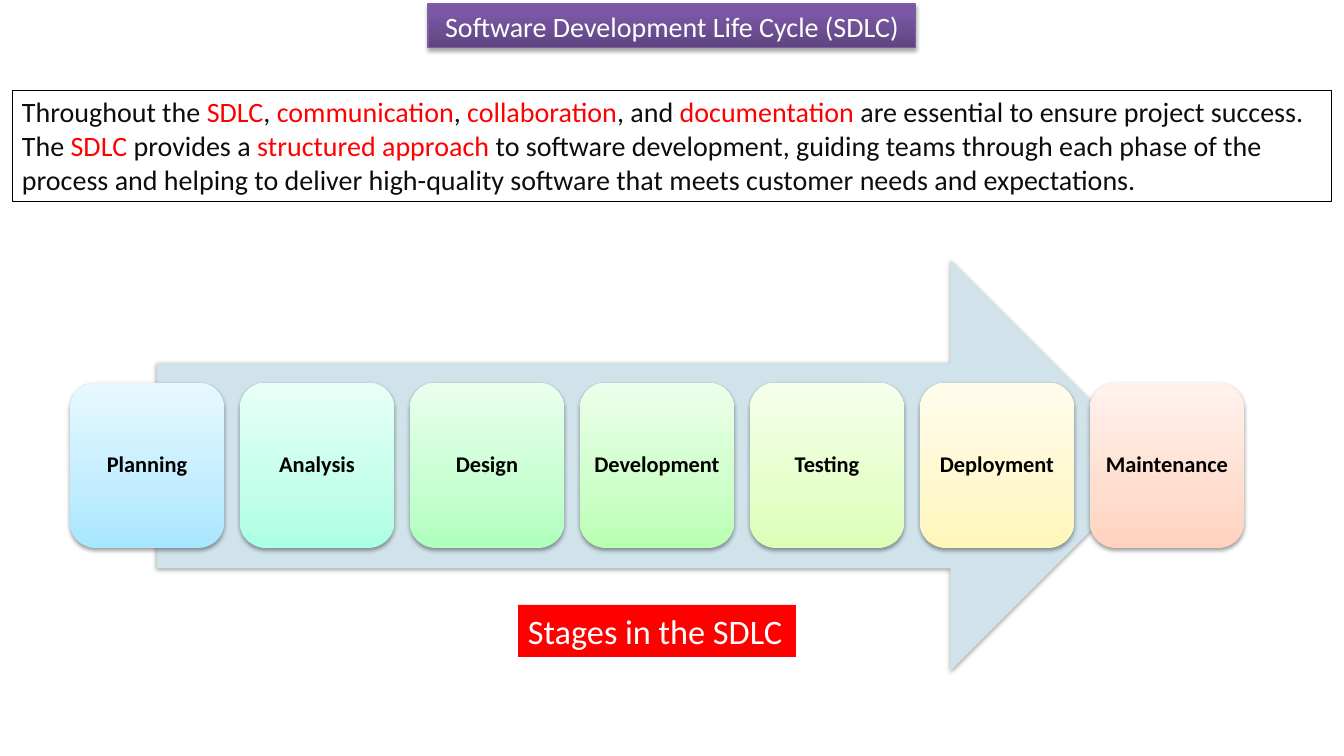
from lxml.etree import SubElement
from pptx import Presentation
from pptx.dml.color import RGBColor
from pptx.enum.shapes import MSO_SHAPE as Shape
from pptx.enum.text import MSO_ANCHOR as Anchor, MSO_AUTO_SIZE as Fit, PP_ALIGN as Align
from pptx.oxml.ns import qn
from pptx.util import Pt

PX = 914400 / 100.8
WHITE = RGBColor(0xFF, 0xFF, 0xFF)
BLACK = RGBColor(0x00, 0x00, 0x00)
INK = RGBColor(0x0D, 0x0D, 0x0D)
RED = RGBColor(0xFF, 0x00, 0x00)
VIOLET = RGBColor(0x7D, 0x60, 0xA0)
MIST = RGBColor(0xD0, 0xE3, 0xEA)
BANNER = [(0, RGBColor(0x5F, 0x44, 0x80)), (80, RGBColor(0x7B, 0x58, 0xA6)),
          (100, RGBColor(0x7C, 0x57, 0xA8))]

# Each stage with its bottom, middle and top colour
STAGES = [
    ("Planning", RGBColor(0xA7, 0xE6, 0xFF), RGBColor(0xC1, 0xED, 0xFF), RGBColor(0xE7, 0xF8, 0xFF)),
    ("Analysis", RGBColor(0xAB, 0xFF, 0xE3), RGBColor(0xC3, 0xFF, 0xEA), RGBColor(0xE8, 0xFF, 0xF7)),
    ("Design", RGBColor(0xAF, 0xFF, 0xBD), RGBColor(0xC6, 0xFF, 0xD0), RGBColor(0xE9, 0xFF, 0xED)),
    ("Development", RGBColor(0xB9, 0xFF, 0xB2), RGBColor(0xCD, 0xFF, 0xC9), RGBColor(0xEC, 0xFF, 0xEA)),
    ("Testing", RGBColor(0xDB, 0xFF, 0xB6), RGBColor(0xE5, 0xFF, 0xCB), RGBColor(0xF5, 0xFF, 0xEB)),
    ("Deployment", RGBColor(0xFF, 0xF6, 0xB9), RGBColor(0xFF, 0xF8, 0xCE), RGBColor(0xFF, 0xFC, 0xEC)),
    ("Maintenance", RGBColor(0xFF, 0xD2, 0xBD), RGBColor(0xFF, 0xDE, 0xD0), RGBColor(0xFF, 0xF2, 0xED)),
]

# Words between bars are stressed
INTRO = ("Throughout the |SDLC|, |communication|, |collaboration|, and |documentation| "
         "are essential to ensure project success. The |SDLC| provides a "
         "|structured approach| to software development, guiding teams through each "
         "phase of the process and helping to deliver high-quality software that "
         "meets customer needs and expectations.")


def px(*vals):
    return [round(val * PX) for val in vals]


def write(shape, text, size=20, color=WHITE, bold=False, align=Align.LEFT,
          anchor=Anchor.TOP, wrap=True, inset=None, space=1.0):
    frame = shape.text_frame
    frame.auto_size = Fit.NONE
    frame.word_wrap = wrap
    frame.vertical_anchor = anchor
    if inset is not None:
        gap, = px(inset)
        frame.margin_left = frame.margin_right = gap
        frame.margin_top = frame.margin_bottom = gap
    para = frame.paragraphs[0]
    para.alignment = align
    para.line_spacing = space
    for i, part in enumerate(text.split("|")):
        run = para.add_run()
        run.text = part
        font = run.font
        font.name, font.size, font.bold = "Calibri", Pt(size), bold
        font.color.rgb = RED if i % 2 else color


def blend(shape, stops):
    """Fill the shape from bottom to top."""
    shape.fill.gradient()
    shape.fill.gradient_angle = 90
    group = shape.element.spPr.find(qn("a:gradFill")).find(qn("a:gsLst"))
    for old in list(group):
        group.remove(old)
    for spot, color in stops:
        stop = SubElement(group, qn("a:gs"), pos=str(spot * 1000))
        SubElement(stop, qn("a:srgbClr"), val=str(color))


def shade(shape, alpha=38, dist=20000):
    shape.shadow.inherit = False
    group = shape.element.spPr.find(qn("a:effectLst"))
    cast = SubElement(group, qn("a:outerShdw"), blurRad="40000", dist=str(dist),
                      dir="5400000", rotWithShape="0")
    tint = SubElement(cast, qn("a:srgbClr"), val=str(BLACK))
    SubElement(tint, qn("a:alpha"), val=str(alpha * 1000))


def add_form(slide, kind, box, fill=None):
    shape = slide.shapes.add_shape(kind, *px(*box))
    shape.shadow.inherit = False
    shape.line.fill.background()
    if fill is not None:
        shape.fill.solid()
        shape.fill.fore_color.rgb = fill
    return shape


def add_title(slide, box):
    title = slide.shapes.title
    title.left, title.top, title.width, title.height = px(*box)
    blend(title, BANNER)
    title.line.color.rgb = VIOLET
    title.line.width = Pt(0.75)
    shade(title, alpha=35, dist=23000)
    write(title, "Software Development Life Cycle (SDLC)",
          align=Align.CENTER, anchor=Anchor.MIDDLE)


def add_intro(slide, box):
    intro = add_form(slide, Shape.RECTANGLE, box, WHITE)
    intro.line.color.rgb = BLACK
    intro.line.width = Pt(0.25)
    write(intro, INTRO, color=INK)


def add_stages(slide, box):
    left, top, width, height = box
    # Arrow behind the row
    arrow = add_form(slide, Shape.RIGHT_ARROW, (left + 87, top, width - 175, height), MIST)
    shade(arrow)
    # Evenly spaced cards
    gap, tall = 16, 165
    wide = (width - gap * (len(STAGES) - 1)) / len(STAGES)
    for i, (name, *colors) in enumerate(STAGES):
        spot = (left + i * (wide + gap), top + (height - tall) / 2, wide, tall)
        card = add_form(slide, Shape.ROUNDED_RECTANGLE, spot)
        blend(card, zip((0, 35, 100), colors))
        shade(card)
        write(card, name, size=16, color=BLACK, bold=True, align=Align.CENTER,
              anchor=Anchor.MIDDLE, inset=0, space=0.9)


def add_label(slide, box):
    label = add_form(slide, Shape.RECTANGLE, box, RED)
    write(label, "Stages in the SDLC", size=24.5, wrap=False)


def main():
    deck = Presentation()
    deck.slide_width, deck.slide_height = px(1344, 756)
    slide = deck.slides.add_slide(deck.slide_layouts[5])
    add_title(slide, (428, 4, 488, 44))
    add_intro(slide, (12, 90, 1319, 111))
    add_stages(slide, (70, 260, 1174, 411))
    add_label(slide, (518, 605, 278, 52))
    deck.save("out.pptx")


if __name__ == "__main__":
    main()
